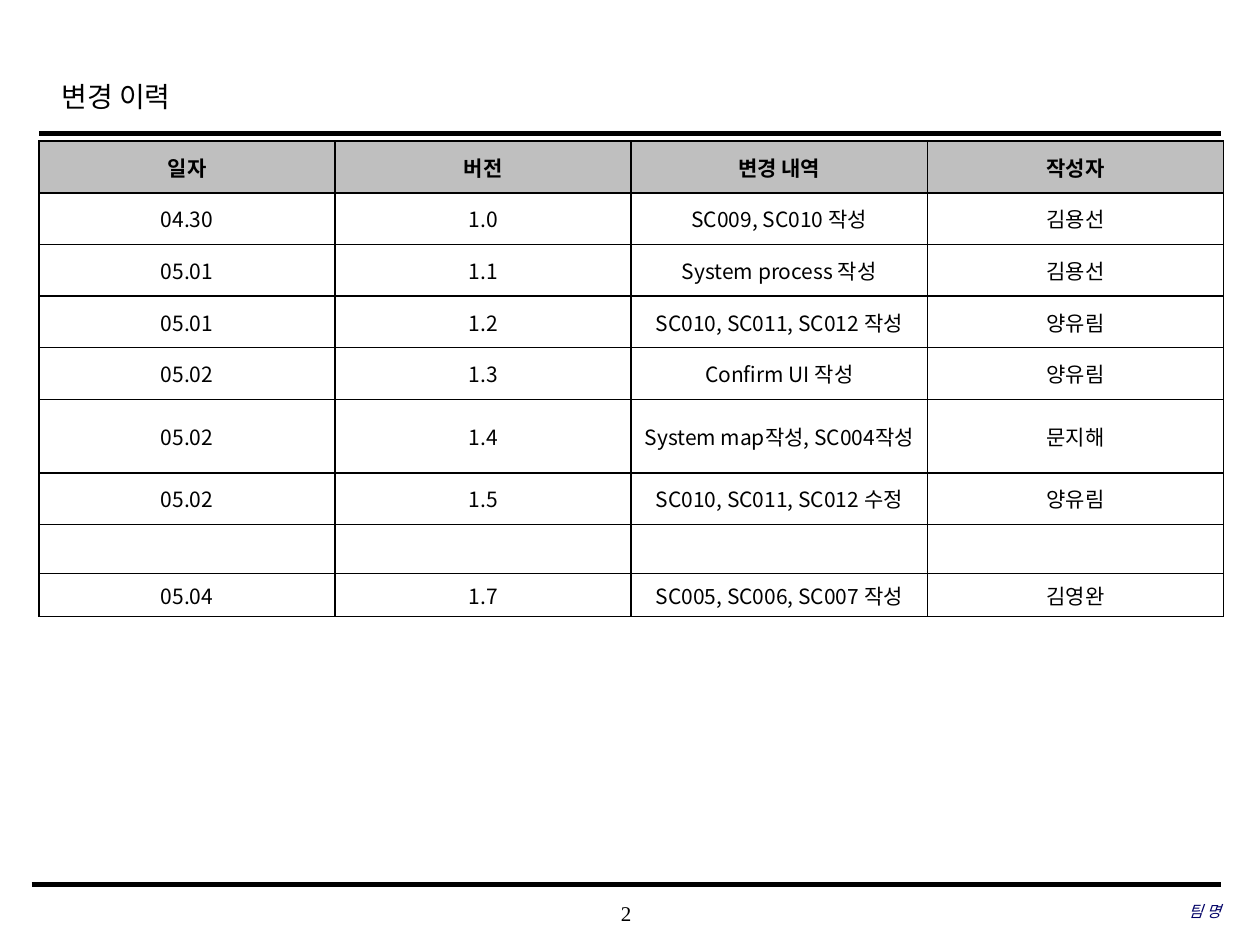
import dataclasses
import lxml.etree
import pptx
import pptx.dml.color
import pptx.enum.shapes
import pptx.enum.text
import pptx.oxml.ns
import pptx.util

Inches = pptx.util.Inches
Align = pptx.enum.text.PP_ALIGN
Middle = pptx.enum.text.MSO_ANCHOR.MIDDLE
qn = pptx.oxml.ns.qn
SANS = "Noto Sans CJK KR"
SERIF = "Times New Roman"


@dataclasses.dataclass
class Label:
    """Text box with its place and format."""
    text: str
    box: tuple
    align: int
    form: dict
    color: str = "000000"
    inset: float = 0
    space: float = 1.0


@dataclasses.dataclass
class Rule:
    """Horizontal line across the page."""
    left: float
    right: float
    top: float
    width: float


def paint(color: str) -> pptx.dml.color.RGBColor:
    """Turn a hex string into a colour."""
    return pptx.dml.color.RGBColor.from_string(color)


def write(para, text: str, align: int, form: dict, color: str = "000000") -> None:
    """Fill a paragraph with one formatted run."""
    para.alignment = align
    run = para.add_run()
    run.text = text
    for name, value in form.items():
        setattr(run.font, name, value)
    run.font.color.rgb = paint(color)
    lxml.etree.SubElement(run.font._element, qn("a:ea"), typeface=SANS)


def add_label(slide, label: Label) -> None:
    """Place a text box."""
    frame = slide.shapes.add_textbox(*map(Inches, label.box)).text_frame
    inset = Inches(label.inset)
    form = {"word_wrap": True, "vertical_anchor": Middle, "margin_left": inset,
            "margin_right": inset, "margin_top": inset / 2, "margin_bottom": inset / 2}
    for name, value in form.items():
        setattr(frame, name, int(value) if name.startswith("margin") else value)
    para = frame.paragraphs[0]
    para.line_spacing = label.space
    write(para, label.text, label.align, label.form, label.color)


def add_rule(slide, rule: Rule) -> None:
    """Draw a black rule."""
    top = Inches(rule.top)
    line = slide.shapes.add_connector(pptx.enum.shapes.MSO_CONNECTOR.STRAIGHT,
                                      Inches(rule.left), top, Inches(rule.right), top)
    line.line.color.rgb = paint("000000")
    line.line.width = pptx.util.Pt(rule.width)
    lxml.etree.SubElement(line._element.spPr, qn("a:effectLst"))


def edge(cell) -> None:
    """Give a cell thin black borders."""
    props = cell._tc.get_or_add_tcPr()
    for spot, side in enumerate(("lnL", "lnR", "lnT", "lnB")):
        line = lxml.etree.Element(qn("a:" + side), w=str(pptx.util.Pt(1)))
        fill = lxml.etree.SubElement(line, qn("a:solidFill"))
        lxml.etree.SubElement(fill, qn("a:srgbClr"), val="000000")
        props.insert(spot, line)


def add_log(slide, rows: list, heights: list) -> None:
    """Build the table of changes."""
    table = slide.shapes.add_table(len(rows), len(rows[0]), Inches(0.31), Inches(1.12),
                                   Inches(9.39), Inches(sum(heights))).table
    for col in table.columns:
        col.width = Inches(2.35)
    for num, (texts, height) in enumerate(zip(rows, heights)):
        table.rows[num].height = Inches(height)
        form = {"name": SANS, "size": pptx.util.Pt(12), "bold": num == 0}
        for cell, text in zip(table.rows[num].cells, texts):
            cell.fill.solid()
            cell.fill.fore_color.rgb = paint("FFFFFF" if num else "BFBFBF")
            cell.vertical_anchor = Middle
            edge(cell)
            para = cell.text_frame.paragraphs[0]
            if text:
                write(para, text, Align.CENTER, form)
            else:
                lxml.etree.SubElement(para._p, qn("a:endParaRPr"), sz="1200")


ROWS = [
    ("일자", "버전", "변경 내역", "작성자"),
    ("04.30", "1.0", "SC009, SC010 작성", "김용선"),
    ("05.01", "1.1", "System process 작성", "김용선"),
    ("05.01", "1.2", "SC010, SC011, SC012 작성", "양유림"),
    ("05.02", "1.3", "Confirm UI 작성", "양유림"),
    ("05.02", "1.4", "System map작성, SC004작성", "문지해"),
    ("05.02", "1.5", "SC010, SC011, SC012 수정", "양유림"),
    ("", "", "", ""),
    ("05.04", "1.7", "SC005, SC006, SC007 작성", "김영완"),
]
RULES = [Rule(0.31, 9.69, 1.06, 2.5), Rule(0.25, 9.69, 7.02, 3)]
LABELS = [
    Label("2", (3.93, 7.08, 2.08, 0.33), Align.CENTER,
          {"name": SERIF, "size": pptx.util.Pt(12)}),
    Label("변경 이력", (0.39, 0.49, 7.55, 0.5), Align.LEFT,
          {"name": SERIF, "size": pptx.util.Pt(16)}, inset=0.1, space=1.2),
    Label("팀 명", (6.63, 7.07, 3.06, 0.33), Align.RIGHT,
          {"name": SERIF, "size": pptx.util.Pt(9), "italic": True}, "000066"),
]

deck = pptx.Presentation()
deck.slide_width, deck.slide_height = Inches(10), Inches(7.5)
page = deck.slides.add_slide(deck.slide_layouts[6])
for rule in RULES:
    add_rule(page, rule)
add_log(page, ROWS, [0.41] * 7 + [0.39, 0.2])
for label in LABELS:
    add_label(page, label)
deck.save("out.pptx")
